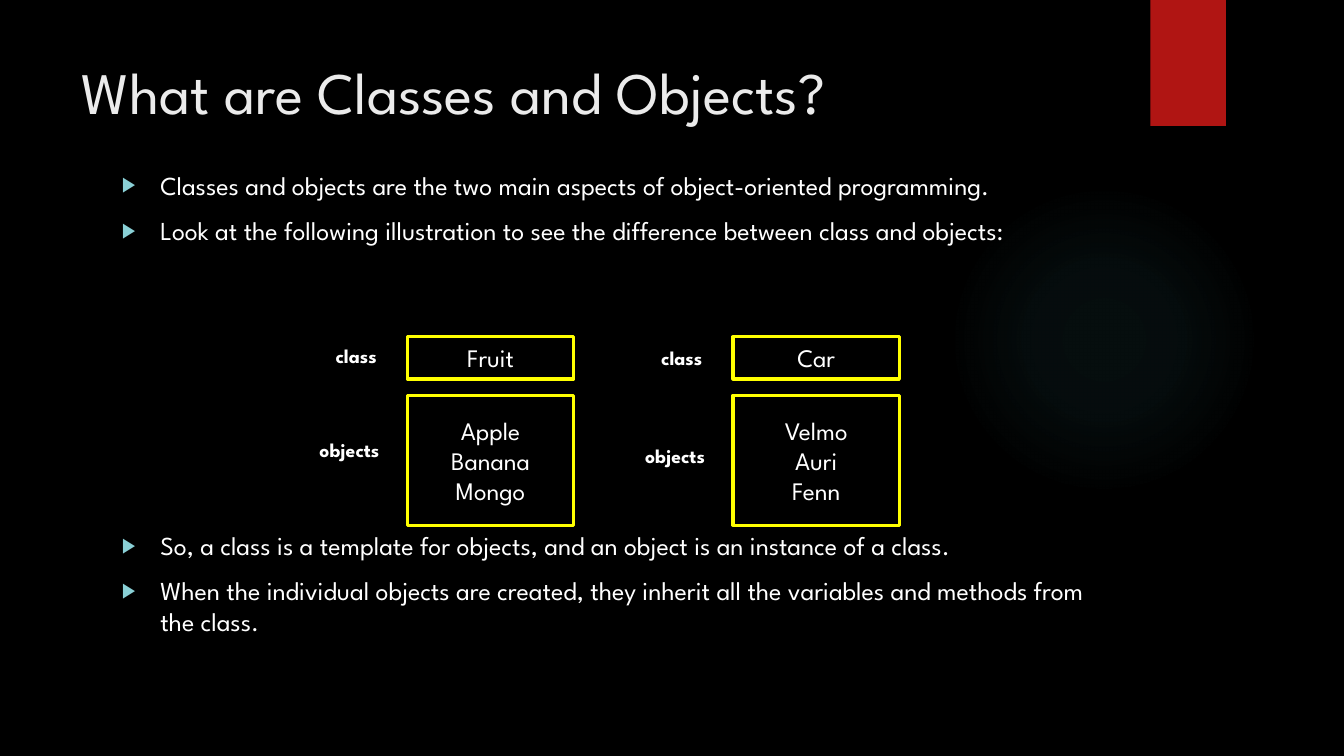
"""Build a slide that explains classes and objects."""
import dataclasses

import lxml.etree
import pptx
import pptx.dml.color
import pptx.enum.shapes
import pptx.enum.text
import pptx.oxml
import pptx.oxml.ns
import pptx.shapes.autoshape
import pptx.slide
import pptx.util

Inches = pptx.util.Inches
Pt = pptx.util.Pt
RGBColor = pptx.dml.color.RGBColor
Align = pptx.enum.text.PP_ALIGN
Anchor = pptx.enum.text.MSO_ANCHOR
Fit = pptx.enum.text.MSO_AUTO_SIZE
Form = pptx.enum.shapes.MSO_SHAPE

BLACK = RGBColor(0x00, 0x00, 0x00)
WHITE = RGBColor(0xFF, 0xFF, 0xFF)
PALE = RGBColor(0xEB, 0xEB, 0xEB)
RED = RGBColor(0xB0, 0x15, 0x13)
YELLOW = RGBColor(0xFF, 0xFF, 0x00)
AQUA = RGBColor(0x8A, 0xD0, 0xD6)
TEAL = RGBColor(0x50, 0xB9, 0xC1)
FONT = "League Spartan"
SPACE = pptx.oxml.ns.nsdecls("a")


@dataclasses.dataclass(frozen=True)
class Point:
    text: str
    gap: float = 10


@dataclasses.dataclass(frozen=True)
class Group:
    left: float
    name: str
    items: tuple[str, ...]
    class_top: float
    object_top: float


POINTS = (
    Point("Classes and objects are the two main aspects of object-oriented programming.", 0),
    Point("Look at the following illustration to see the difference between class and objects:"),
    Point("So, a class is a template for objects, and an object is an instance of a class.", 203),
    Point("When the individual objects are created, they inherit all the variables and methods from the class."),
)
GROUPS = (
    Group(4.04, "Fruit", ("Apple", "Banana", "Mongo"), 3.36, 4.3),
    Group(7.27, "Car", ("Velmo", "Auri", "Fenn"), 3.38, 4.35),
)


def place(shape: pptx.shapes.autoshape.Shape, left: float, top: float, width: float, height: float) -> None:
    shape.left, shape.top = Inches(left), Inches(top)
    shape.width, shape.height = Inches(width), Inches(height)


def style(para, size: float, color: RGBColor = WHITE, bold: bool = False) -> None:
    font = para.font
    font.name, font.size, font.bold = FONT, Pt(size), bold
    font.color.rgb = color


def add_form(slide: pptx.slide.Slide, form: Form, left: float, top: float, width: float, height: float):
    shape = slide.shapes.add_shape(form, Inches(left), Inches(top), Inches(width), Inches(height))
    shape.shadow.inherit = False
    shape.fill.background()
    shape.line.fill.background()
    return shape


def add_glow(slide: pptx.slide.Slide) -> None:
    glow = add_form(slide, Form.OVAL, 9.41, 1.83, 3.08, 3.08)
    stops = "".join(
        f'<a:gs pos="{pos}000"><a:srgbClr val="{TEAL}"><a:alpha val="{alpha}000"/></a:srgbClr></a:gs>'
        for pos, alpha in ((0, 7), (36, 6), (69, 0))
    )
    grad = pptx.oxml.parse_xml(
        f'<a:gradFill {SPACE} rotWithShape="1"><a:gsLst>{stops}</a:gsLst><a:path path="circle">'
        '<a:fillToRect l="50000" t="50000" r="50000" b="50000"/></a:path></a:gradFill>'
    )
    old = glow.element.spPr.find(pptx.oxml.ns.qn("a:noFill"))
    old.getparent().replace(old, grad)
    slide.shapes.title.element.addprevious(glow.element)


def add_flag(slide: pptx.slide.Slide) -> None:
    flag = add_form(slide, Form.RECTANGLE, 11.41, 0, 0.75, 1.25)
    flag.fill.solid()
    flag.fill.fore_color.rgb = RED
    slide.shapes.title.element.addprevious(flag.element)


def add_title(slide: pptx.slide.Slide) -> None:
    title = slide.shapes.title
    place(title, 0.71, 0.5, 10.29, 1.53)
    frame = title.text_frame
    frame.text = "What are Classes and Objects?"
    frame.vertical_anchor, frame.auto_size = Anchor.TOP, Fit.NONE
    para = frame.paragraphs[0]
    para.alignment = Align.LEFT
    style(para, 42, PALE)


def add_mark(para) -> None:
    props = para._p.get_or_add_pPr()
    props.set("marL", str(Inches(0.38)))
    props.set("indent", str(-Inches(0.38)))
    color = lxml.etree.SubElement(props, pptx.oxml.ns.qn("a:buClr"))
    lxml.etree.SubElement(color, pptx.oxml.ns.qn("a:srgbClr"), val=str(AQUA))
    lxml.etree.SubElement(props, pptx.oxml.ns.qn("a:buSzPct"), val="80000")
    lxml.etree.SubElement(props, pptx.oxml.ns.qn("a:buChar"), char="▶")


def add_points(slide: pptx.slide.Slide) -> None:
    body = slide.placeholders[1]
    place(body, 1.11, 1.63, 9.78, 5.6)
    frame = body.text_frame
    frame.text = "\n".join(point.text for point in POINTS)
    frame.vertical_anchor, frame.auto_size = Anchor.TOP, Fit.NONE
    for para, point in zip(frame.paragraphs, POINTS):
        add_mark(para)
        para.space_before = Pt(point.gap)
        style(para, 18.5)


def add_box(slide: pptx.slide.Slide, left: float, top: float, height: float, lines: tuple[str, ...]) -> None:
    box = add_form(slide, Form.RECTANGLE, left, top, 1.65, height)
    box.line.color.rgb, box.line.width = YELLOW, Pt(2.25)
    frame = box.text_frame
    frame.text = "\n".join(lines)
    frame.vertical_anchor = Anchor.MIDDLE
    for para in frame.paragraphs:
        para.alignment = Align.CENTER
        style(para, 18)


def add_label(slide: pptx.slide.Slide, right: float, top: float, width: float, text: str) -> None:
    label = slide.shapes.add_textbox(Inches(right - width), Inches(top), Inches(width), Inches(0.34))
    label.text_frame.text = text
    label.text_frame.word_wrap = True
    style(label.text_frame.paragraphs[0], 14, bold=True)


def add_group(slide: pptx.slide.Slide, group: Group) -> None:
    add_box(slide, group.left, 3.34, 0.42, (group.name,))
    add_box(slide, group.left, 3.92, 1.29, group.items)
    add_label(slide, group.left, group.class_top, 0.81, "class")
    add_label(slide, group.left, group.object_top, 0.97, "objects")


def main() -> None:
    deck = pptx.Presentation()
    deck.slide_width, deck.slide_height = Inches(13.33), Inches(7.5)
    slide = deck.slides.add_slide(deck.slide_layouts[1])
    slide.background.fill.solid()
    slide.background.fill.fore_color.rgb = BLACK
    add_glow(slide)
    add_flag(slide)
    add_title(slide)
    add_points(slide)
    for group in GROUPS:
        add_group(slide, group)
    deck.save("out.pptx")


if __name__ == "__main__":
    main()
